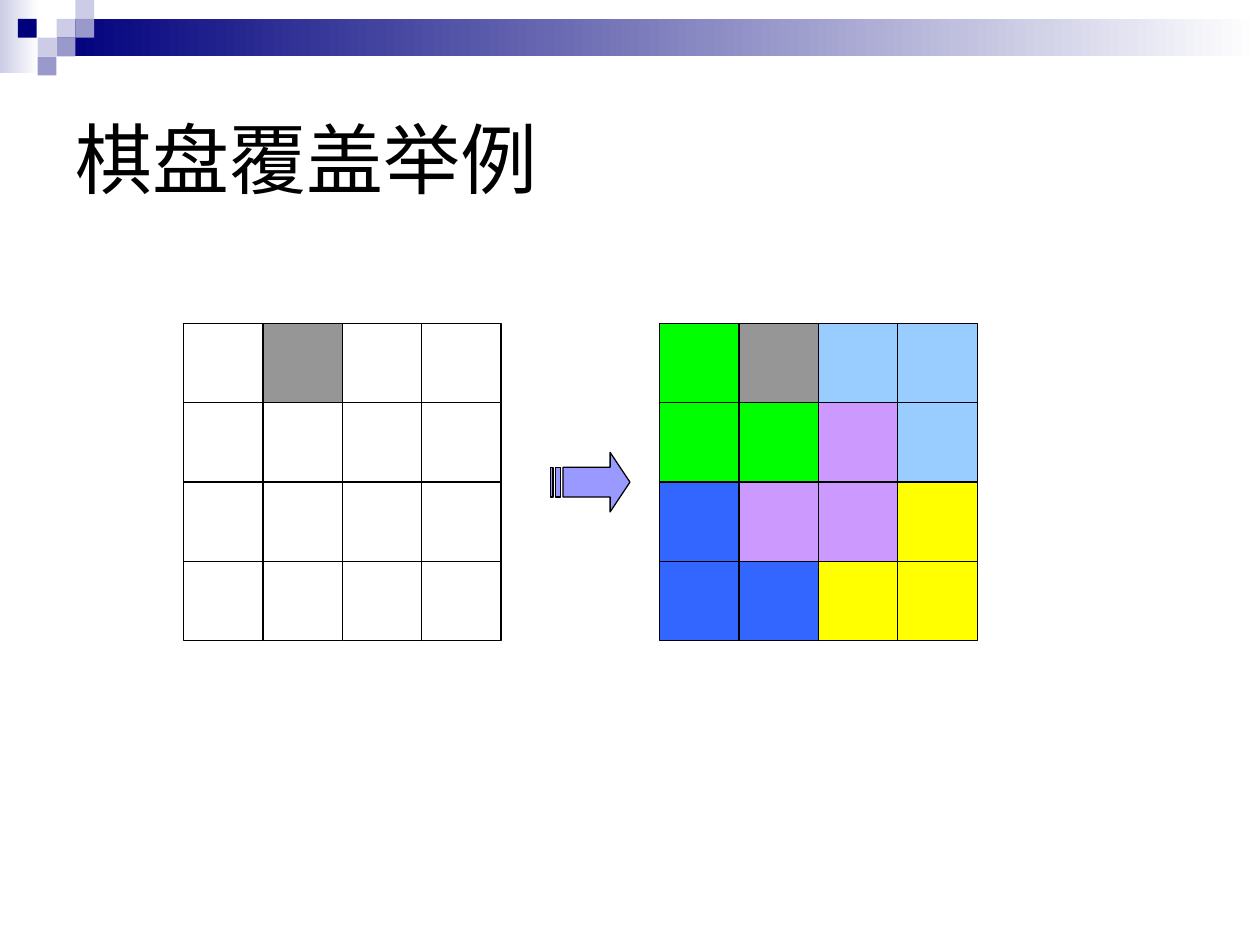
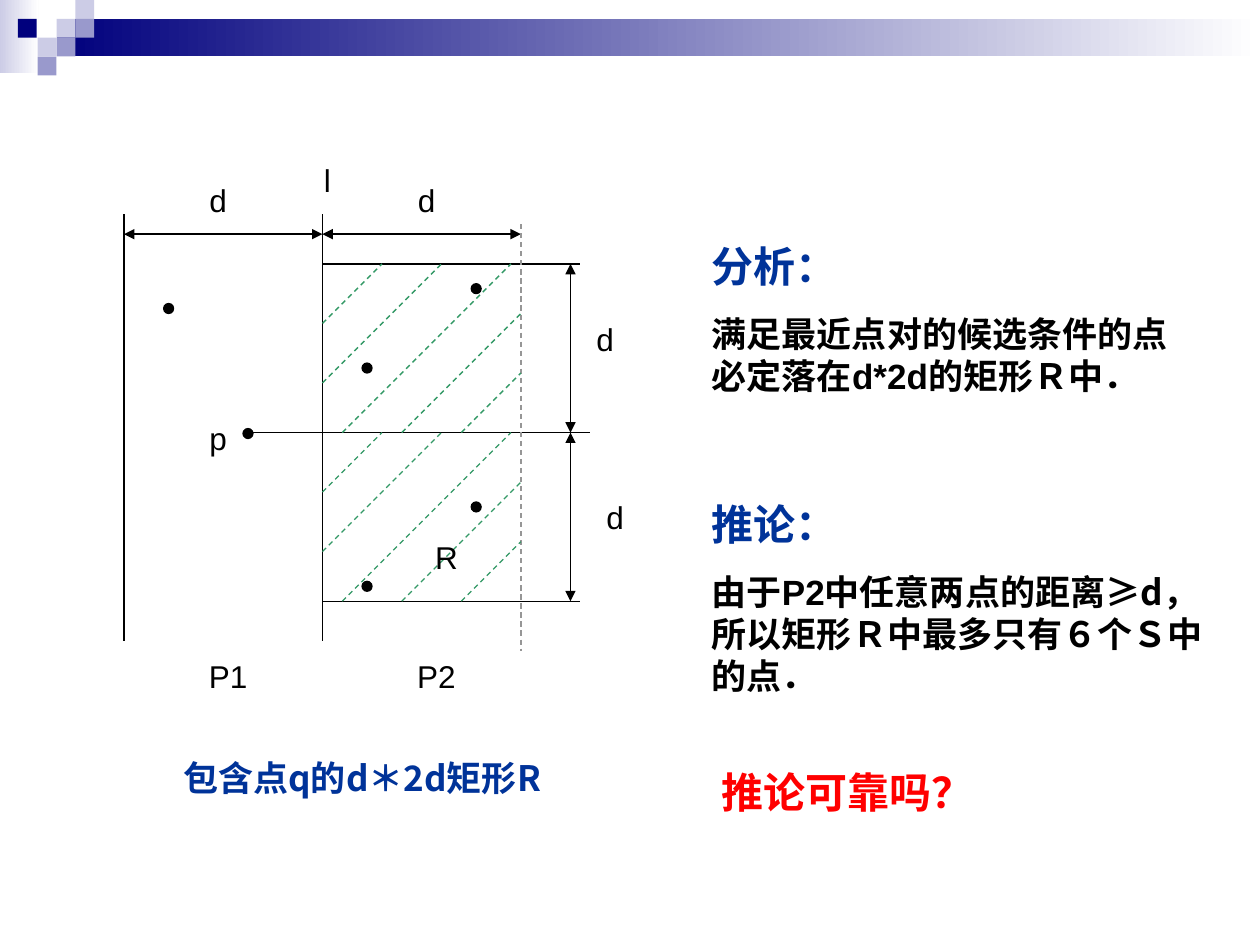
from lxml.etree import SubElement
from pptx import Presentation
from pptx.dml.color import RGBColor
from pptx.enum.dml import MSO_LINE_DASH_STYLE as DASH
from pptx.enum.shapes import MSO_CONNECTOR as CONNECTOR, MSO_SHAPE as SHAPE
from pptx.enum.text import MSO_ANCHOR as ANCHOR, MSO_AUTO_SIZE as AUTO, PP_ALIGN as ALIGN
from pptx.oxml.ns import qn
from pptx.util import Emu, Inches, Mm, Pt

# Every length is counted in grid units of 2 mm: the slide is 127 columns wide
UNIT = Mm(2)
COLUMNS = 127
TILE = 1.9
ARIAL, CJK = "Arial", "Noto Sans CJK SC"
COLORS = {
    "white": "FFFFFF", "black": "000000", "gray": "969696",
    "navy": "00007D", "mist": "CCCCE6", "lavender": "9999CC",
    "green": "00FF00", "sky": "99CCFF", "violet": "CC99FF",
    "blue": "3366FF", "yellow": "FFFF00", "arrow": "9999FF",
    "heading": "003399", "question": "FF0000", "hatch": "339966",
}
RGB = {name: RGBColor.from_string(value) for name, value in COLORS.items()}


def write(frame, *runs, fonts=(ARIAL,), size=18, color="black", bold=False,
          align=ALIGN.LEFT, before=0):
    """Fill the first paragraph if it is empty, otherwise add one."""
    paragraph = frame.paragraphs[0]
    if paragraph.runs:
        paragraph = frame.add_paragraph()
    paragraph.alignment = align
    paragraph.space_before = Pt(before)
    for text, font in zip(runs, fonts):
        run = paragraph.add_run()
        run.text = text
        run.font.size, run.font.bold, run.font.name = Pt(size), bold, font
        run.font.color.rgb = RGB[color]
        SubElement(run.font._element, qn("a:ea")).set("typeface", CJK)


def block(slide, left, top, width, height, fill, kind=SHAPE.RECTANGLE, outline=True):
    """Draw a filled shape; a pair of colours makes a gradient."""
    box = [Emu(round(n * UNIT)) for n in (left, top, width, height)]
    shape = slide.shapes.add_shape(kind, *box)
    shape.shadow.inherit = False
    if isinstance(fill, tuple):
        shape.fill.gradient()
        shape.fill.gradient_angle = 0
        for stop, color in zip(shape.fill.gradient_stops, fill):
            stop.color.rgb = RGB[color]
    else:
        shape.fill.solid()
        shape.fill.fore_color.rgb = RGB[fill]
    if outline:
        shape.line.color.rgb = RGB["black"]
        shape.line.width = Pt(0.75)
    else:
        shape.line.fill.background()
    return shape


prs = Presentation()
prs.slide_width, prs.slide_height = Inches(10), Inches(7.5)
cover = prs.slides.add_slide(prs.slide_layouts[5])
closest = prs.slides.add_slide(prs.slide_layouts[6])

# Header band and tiles, moved to the master so that both slides share them
header = [
    block(cover, 0, 0, 3.9, 7.4, ("mist", "white"), outline=False),
    block(cover, 3 * TILE, TILE, COLUMNS - 3 * TILE, 2 * TILE, ("navy", "white"), outline=False),
]
for column, row, color in [
    (3, 1, "mist"), (4, 0, "mist"), (4, 1, "lavender"), (2, 2, "mist"),
    (0.95, 1, "navy"), (3, 2, "lavender"), (2, 3, "lavender"),
]:
    header.append(block(cover, column * TILE, row * TILE, TILE, TILE, color, outline=False))
master_tree = prs.slide_master.element.cSld.spTree
for order, part in enumerate(header):
    part.element.nvSpPr.cNvPr.set("id", str(100 + order))
    master_tree.insert(2 + order, part.element)

# Slide 1: title
title = cover.shapes.title
title.left, title.top, title.width, title.height = map(Inches, (0.5, 0.5, 9, 1.5))
title.text_frame.vertical_anchor = ANCHOR.MIDDLE
write(title.text_frame, "棋盘覆盖举例", size=44)

# Slide 1: empty board and covered board
CELL = 8
BOARD_TOP = 32.6
SQUARES = {"W": "white", "X": "gray", "G": "green", "L": "sky",
           "V": "violet", "B": "blue", "Y": "yellow"}
for board_left, rows in [
    (18.5, ["WXWW", "WWWW", "WWWW", "WWWW"]),
    (66.5, ["GXLL", "GGVL", "BVVY", "BBYY"]),
]:
    for row, squares in enumerate(rows):
        for column, square in enumerate(squares):
            block(cover, board_left + column * CELL, BOARD_TOP + row * CELL,
                  CELL, CELL, SQUARES[square])

# Slide 1: striped arrow between the boards, in quarter units
builder = cover.shapes.build_freeform(24, 0, scale=UNIT / 4)
builder.add_line_segments([(24, 6), (5, 6), (5, 18), (24, 18), (24, 24), (32, 12)])
for start, end in [(2, 4), (0, 1)]:
    builder.move_to(start, 6)
    builder.add_line_segments([(start, 18), (end, 18), (end, 6)])
step = builder.convert_to_shape(round(55.5 * UNIT), round(45.6 * UNIT))
step.shadow.inherit = False
step.fill.solid()
step.fill.fore_color.rgb = RGB["arrow"]
step.line.color.rgb = RGB["black"]
step.line.width = Pt(0.75)

# Slide 2: strips P1 and P2 are D wide, the two halves of R are HALF high
D, HALF = 20, 17
P1_LEFT = 12.5
L_LINE = P1_LEFT + D
P2_RIGHT = L_LINE + D
R_TOP = 26.6
P_LEVEL = R_TOP + HALF
R_BOTTOM = P_LEVEL + HALF
WIDTH_ROW, HEIGHT_COLUMN = 23.6, 57.5

plain = [
    (P1_LEFT, 21.6, P1_LEFT, 64.6),
    (L_LINE, 21.6, L_LINE, 64.6),
    (24.5, P_LEVEL, 59.5, P_LEVEL),
    (L_LINE, R_TOP, 58.5, R_TOP),
    (L_LINE, R_BOTTOM, 58.5, R_BOTTOM),
]
measures = [
    (P1_LEFT, WIDTH_ROW, L_LINE, WIDTH_ROW),
    (L_LINE, WIDTH_ROW, P2_RIGHT, WIDTH_ROW),
    (HEIGHT_COLUMN, R_TOP, HEIGHT_COLUMN, P_LEVEL),
    (HEIGHT_COLUMN, P_LEVEL, HEIGHT_COLUMN, R_BOTTOM),
]
# Each hatch line keeps x + y constant and is clipped to its half of R
hatching = [
    (L_LINE + max(0, total - HALF), half_top + min(total, HALF),
     L_LINE + min(total, D), half_top + max(0, total - D))
    for half_top in (R_TOP, P_LEVEL)
    for total in (6, 12, 19, 25, 31)
]
for lines, color, dashed, arrows in [
    (plain, "black", False, False),
    (measures, "black", False, True),
    ([(P2_RIGHT, 22.6, P2_RIGHT, 65.6)], "gray", True, False),
    (hatching, "hatch", True, False),
]:
    for ends in lines:
        line = closest.shapes.add_connector(
            CONNECTOR.STRAIGHT, *[Emu(round(n * UNIT)) for n in ends])
        line.line.color.rgb = RGB[color]
        line.line.width = Pt(0.75)
        if dashed:
            line.line.dash_style = DASH.DASH
        if arrows:
            for tip in ("a:headEnd", "a:tailEnd"):
                SubElement(line.line._get_or_add_ln(), qn(tip)).set("type", "triangle")
        SubElement(line.element.spPr, qn("a:effectLst"))

# Slide 2: points
for left, top in [(16.5, 30.6), (24.5, 43.2), (36.5, 58.6),
                  (36.5, 36.6), (47.5, 28.6), (47.5, 50.6)]:
    block(closest, left, top, 1, 1, "black", kind=SHAPE.OVAL)

# Slide 2: labels, caption and argument; each paragraph is (runs, format)
label = dict(align=ALIGN.CENTER, before=11.2)
heading = dict(size=24, color="heading", bold=True, before=15)
body = dict(size=20, bold=True, before=12.5)
texts = [
    (left, top, 7, 5.1, [([name], label)])
    for name, left, top in [
        ("l", 29.5, 15.6), ("d", 39.5, 17.6), ("d", 18.5, 17.6),
        ("d", 57.5, 31.6), ("d", 58.5, 49.6), ("P1", 19.5, 65.6),
        ("P2", 40.5, 65.6), ("p", 18.5, 41.6), ("R", 41.5, 53.6),
    ]
]
texts += [
    (9.5, 75.6, 54, 5.6, [
        (["包含点q的d＊2d矩形R"],
         dict(body, fonts=(CJK,), color="heading", align=ALIGN.CENTER)),
    ]),
    (70.5, 23.6, 51, 17, [
        (["分析："], heading),
        (["满足最近点对的候选条件的点必定落在d*2d的矩形Ｒ中．"], body),
    ]),
    (70.5, 49.6, 53, 21.3, [
        (["推论："], heading),
        (["由于P2中任意两点的距离", "≥d，所以", "矩形Ｒ中最多只有６个Ｓ中的点．"],
         dict(body, fonts=(ARIAL, CJK, ARIAL))),
    ]),
    (71.5, 76.6, 32, 6.4, [(["推论可靠吗？"], dict(heading, color="question"))]),
]
for left, top, width, height, paragraphs in texts:
    frame = closest.shapes.add_textbox(
        *[Emu(round(n * UNIT)) for n in (left, top, width, height)]).text_frame
    frame.word_wrap = True
    frame.auto_size = AUTO.SHAPE_TO_FIT_TEXT
    for runs, style in paragraphs:
        write(frame, *runs, **style)

prs.save("out.pptx")
